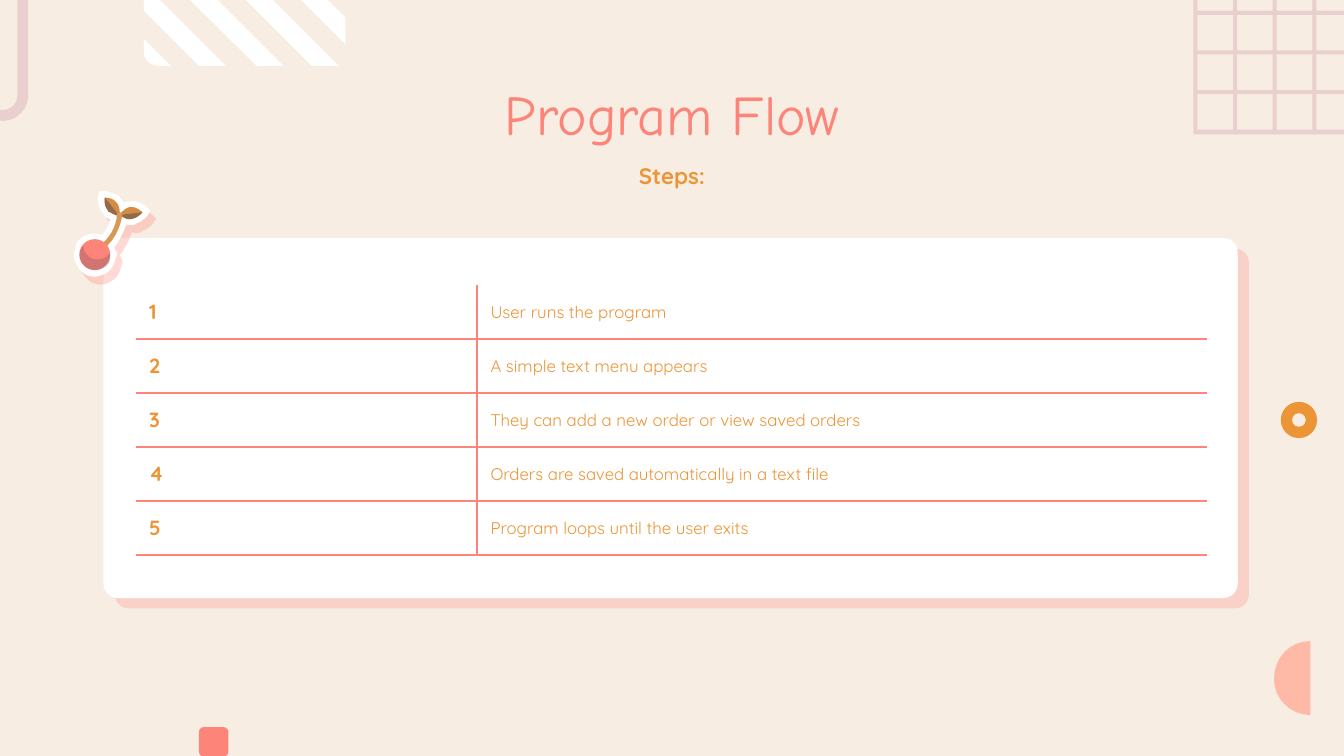
from lxml import etree
from pptx import Presentation
from pptx.dml.color import RGBColor
from pptx.enum import shapes, text
from pptx.oxml.ns import qn
from pptx.util import Inches, Pt

CREAM = RGBColor(0xF8, 0xED, 0xE2)
WHITE = RGBColor(0xFF, 0xFF, 0xFF)
CORAL = RGBColor(0xFD, 0x84, 0x79)
PEACH = RGBColor(0xFF, 0xB9, 0xA7)
ORANGE = RGBColor(0xEB, 0x95, 0x37)
ROSE = RGBColor(0xE9, 0xD0, 0xCF)
LEAF = RGBColor(0xD4, 0x8B, 0x43)
STEM = RGBColor(0xDA, 0x98, 0x56)
SHADE = RGBColor(0x35, 0x3F, 0x5B)

STEPS = [
    "User runs the program",
    "A simple text menu appears",
    "They can add a new order or view saved orders",
    "Orders are saved automatically in a text file",
    "Program loops until the user exits",
]

# Outlines: a 2-tuple is a corner, a 6-tuple is a cubic curve (two controls, end).
STRIPES = [
    [(1.27, 0.49), (1.07, 0.29), (1.07, 0.39), (1.07, 0.44, 1.12, 0.49, 1.18, 0.49)],
    [(1.68, 0.49), (1.07, -0.12), (1.07, 0.08), (1.48, 0.49)],
    [(2.11, 0.49), (1.07, -0.55), (1.07, -0.34), (1.91, 0.49)],
    [(2.52, 0.49), (1.35, -0.68), (1.15, -0.68), (2.32, 0.49)],
    [(2.57, 0.13), (1.76, -0.68), (1.56, -0.68), (2.57, 0.33)],
]
HALF_DISC = [(9.48, 5.05), (9.48, 5.2, 9.6, 5.32, 9.75, 5.32), (9.75, 4.77),
             (9.6, 4.77, 9.48, 4.89, 9.48, 5.05)]
STICKER = [
    (1.08, 1.53), (1.06, 1.52, 1.02, 1.49, 0.96, 1.5), (0.95, 1.5, 0.93, 1.5, 0.92, 1.51),
    (0.92, 1.5, 0.91, 1.49, 0.9, 1.48), (0.89, 1.47, 0.89, 1.46, 0.88, 1.46),
    (0.84, 1.43, 0.78, 1.42, 0.78, 1.42), (0.74, 1.42), (0.73, 1.46),
    (0.73, 1.47, 0.72, 1.54, 0.77, 1.59), (0.77, 1.6, 0.78, 1.61, 0.79, 1.62),
    (0.8, 1.62, 0.81, 1.63, 0.82, 1.63), (0.81, 1.68, 0.79, 1.71, 0.76, 1.75),
    (0.69, 1.72, 0.61, 1.75, 0.57, 1.81), (0.57, 1.83, 0.56, 1.84, 0.56, 1.86),
    (0.55, 1.87, 0.55, 1.88, 0.55, 1.9), (0.55, 1.94, 0.57, 1.97, 0.59, 2),
    (0.6, 2.01, 0.61, 2.02, 0.62, 2.03), (0.64, 2.05, 0.68, 2.06, 0.71, 2.06),
    (0.79, 2.05, 0.85, 2, 0.86, 1.92), (0.87, 1.91, 0.87, 1.89, 0.87, 1.88),
    (0.86, 1.87, 0.85, 1.84, 0.85, 1.84), (0.89, 1.79, 0.92, 1.73, 0.94, 1.67),
    (0.97, 1.68, 1, 1.68, 1.02, 1.66), (1.05, 1.65, 1.06, 1.64, 1.07, 1.63),
    (1.08, 1.63, 1.09, 1.61, 1.1, 1.6), (1.12, 1.57), (1.09, 1.54),
]
RIGHT_LEAF_LOW = [(0.89, 1.6), (0.91, 1.61, 0.94, 1.64, 0.98, 1.63),
                  (1.03, 1.62, 1.06, 1.58, 1.06, 1.58)]
RIGHT_LEAF = RIGHT_LEAF_LOW + [(1.04, 1.56, 1.01, 1.54, 0.97, 1.54),
                               (0.92, 1.55, 0.89, 1.6, 0.89, 1.6)]
LEFT_LEAF_LOW = [(0.78, 1.47), (0.78, 1.47, 0.77, 1.53, 0.8, 1.56),
                 (0.8, 1.57, 0.81, 1.58, 0.82, 1.58), (0.85, 1.6, 0.89, 1.61, 0.89, 1.61)]
LEFT_LEAF = LEFT_LEAF_LOW + [(0.89, 1.61, 0.9, 1.55, 0.87, 1.51),
                             (0.86, 1.5, 0.86, 1.5, 0.85, 1.49),
                             (0.82, 1.47, 0.78, 1.47, 0.78, 1.47)]
STALK = [(0.89, 1.58), (0.88, 1.58, 0.87, 1.59, 0.87, 1.6), (0.87, 1.66, 0.83, 1.8, 0.66, 1.88),
         (0.65, 1.89, 0.65, 1.9, 0.66, 1.91), (0.67, 1.92, 0.67, 1.92, 0.68, 1.91),
         (0.86, 1.83, 0.9, 1.67, 0.91, 1.6), (0.91, 1.59, 0.91, 1.58, 0.89, 1.58)]
FRUIT_SHADE = [(0.82, 1.88), (0.79, 1.93, 0.71, 1.95, 0.66, 1.91),
               (0.64, 1.89, 0.62, 1.86, 0.62, 1.83), (0.61, 1.84, 0.61, 1.84, 0.61, 1.84),
               (0.58, 1.89, 0.59, 1.95, 0.64, 1.99), (0.7, 2.03, 0.77, 2.01, 0.81, 1.96),
               (0.82, 1.94, 0.82, 1.91, 0.82, 1.88)]


def flatten(outline, pieces=8):
    """Turn corners and cubic curves into points in EMU."""
    points = []
    for part in outline:
        if len(part) == 2:
            points.append(part)
            continue
        ends = [points[-1], part[:2], part[2:4], part[4:]]
        for t in (n / pieces for n in range(1, pieces + 1)):
            weights = ((1 - t) ** 3, 3 * t * (1 - t) ** 2, 3 * t * t * (1 - t), t ** 3)
            points.append(tuple(sum(w * end[axis] for w, end in zip(weights, ends))
                                for axis in (0, 1)))
    return [(Inches(x), Inches(y)) for x, y in points]


def paint(shape, color, opacity=100):
    shape.shadow.inherit = False
    shape.line.fill.background()
    shape.fill.solid()
    shape.fill.fore_color.rgb = color
    if opacity < 100:
        set_alpha(shape.fill._xPr.find(".//" + qn("a:srgbClr")), opacity)


def set_alpha(color_element, opacity):
    etree.SubElement(color_element, qn("a:alpha"), val=str(opacity * 1000))


def add_outline(parent, contours, color, opacity=100):
    first, *others = [flatten(contour) for contour in contours]
    builder = parent.build_freeform(*first[0], scale=1.0)
    builder.add_line_segments(first[1:], close=True)
    for points in others:
        builder.move_to(*points[0])
        builder.add_line_segments(points[1:], close=True)
    shape = builder.convert_to_shape()
    paint(shape, color, opacity)
    return shape


def add_preset(parent, kind, box, color, adjustment=None):
    shape = parent.add_shape(kind, *map(Inches, box))
    paint(shape, color)
    if adjustment is not None:
        shape.adjustments[0] = adjustment
    return shape


def cast_shadow(shape, opacity, distance, angle):
    effects = shape._element.spPr.find(qn("a:effectLst"))
    outer = etree.SubElement(effects, qn("a:outerShdw"), blurRad="0", dist=str(Pt(distance)),
                             dir=str(angle * 60000), algn="bl", rotWithShape="0")
    set_alpha(etree.SubElement(outer, qn("a:srgbClr"), val=str(CORAL)), opacity)


def rectangle(left, top, right, bottom):
    return [(left, top), (right, top), (right, bottom), (left, bottom)]


def add_decorations(parent):
    for stripe in STRIPES:
        add_outline(parent, [stripe], WHITE)
    add_outline(parent, [HALF_DISC], PEACH)
    add_preset(parent, shapes.MSO_SHAPE.DONUT, (9.53, 2.99, 0.27, 0.27), ORANGE, 0.31)
    pill = add_preset(parent, shapes.MSO_SHAPE.ROUNDED_RECTANGLE, (-0.13, -0.15, 0.3, 1.01),
                      ROSE, 0.5)
    pill.fill.background()
    pill.line.color.rgb = ROSE
    pill.line.width = Inches(0.08)
    add_preset(parent, shapes.MSO_SHAPE.ROUNDED_RECTANGLE, (1.48, 5.41, 0.22, 0.22), CORAL, 0.17)

    gap, hole = 0.03, 0.265
    corners = [(8.91 + (hole + gap) * column, -0.48 + (hole + gap) * row)
               for column in range(7) for row in range(5)]
    holes = [rectangle(x, y, x + hole, y + hole)[::-1] for x, y in corners]
    add_outline(parent, [rectangle(8.88, -0.51, 10.98, 1)] + holes, ROSE)


def add_cherry(parent):
    cherry = parent.add_group_shape().shapes
    cast_shadow(add_outline(cherry, [STICKER], WHITE), 29, 5.2, 54)
    for leaf, underside in ((RIGHT_LEAF, RIGHT_LEAF_LOW), (LEFT_LEAF, LEFT_LEAF_LOW)):
        add_outline(cherry, [leaf], LEAF)
        add_outline(cherry, [underside], SHADE, 41)
    add_outline(cherry, [STALK], STEM)
    add_preset(cherry, shapes.MSO_SHAPE.OVAL, (0.59, 1.78, 0.23, 0.23), CORAL)
    add_outline(cherry, [FRUIT_SHADE], SHADE, 22)


def write(paragraph, words, size, color, font="Quicksand", bold=False):
    run = paragraph.add_run()
    run.text = words
    run.font.name, run.font.size, run.font.bold = font, Pt(size), bold
    run.font.color.rgb = color


def fill_heading(shape, box, bottom_inset, *style, **options):
    shape.left, shape.top, shape.width, shape.height = map(Inches, box)
    frame = shape.text_frame
    frame.word_wrap = True
    frame.auto_size = text.MSO_AUTO_SIZE.NONE
    frame.vertical_anchor = text.MSO_ANCHOR.TOP
    frame.margin_left = frame.margin_right = Inches(0.1)
    frame.margin_top, frame.margin_bottom = 0, Inches(bottom_inset)
    frame.paragraphs[0].alignment = text.PP_ALIGN.CENTER
    write(frame.paragraphs[0], *style, **options)


def set_borders(cell, visible):
    properties = cell._tc.get_or_add_tcPr()
    for place, side in enumerate("LRTB"):
        line = etree.Element(qn("a:ln" + side), w=str(Pt(1.5)))
        if side in visible:
            fill = etree.SubElement(line, qn("a:solidFill"))
            etree.SubElement(fill, qn("a:srgbClr"), val=str(CORAL))
        else:
            etree.SubElement(line, qn("a:noFill"))
        properties.insert(place, line)


def add_steps_table(parent):
    table = parent.add_table(len(STEPS), 2, Inches(1.01), Inches(2.12),
                             Inches(7.97), Inches(2.01)).table
    table.first_row = table.horz_banding = False
    for column, width in zip(table.columns, (2.54, 5.43)):
        column.width = Inches(width)
    for number, step in enumerate(STEPS, 1):
        for column, (words, size) in enumerate(((str(number), 11), (step, 9))):
            cell = table.cell(number - 1, column)
            cell.fill.background()
            cell.vertical_anchor = text.MSO_ANCHOR.MIDDLE
            cell.margin_left = cell.margin_right = Inches(0.1)
            cell.margin_top = cell.margin_bottom = 0
            write(cell.text_frame.paragraphs[0], words, size, ORANGE, bold=column == 0)
            set_borders(cell, "RL"[column] + "B" + ("T" if number > 1 else ""))


def main():
    deck = Presentation()
    deck.slide_width, deck.slide_height = Inches(10), Inches(10 * 9 / 16)
    slide = deck.slides.add_slide(deck.slide_layouts[5])
    slide.background.fill.solid()
    slide.background.fill.fore_color.rgb = CREAM
    add_decorations(slide.shapes)
    card = add_preset(slide.shapes, shapes.MSO_SHAPE.ROUNDED_RECTANGLE,
                      (0.77, 1.77, 8.44, 2.68), WHITE, 0.04)
    cast_shadow(card, 25, 8.2, 43)
    fill_heading(slide.shapes.title, (2.14, 0.59, 5.72, 0.41), 0,
                 "Program Flow", 30, CORAL, font="Comic Neue")
    add_steps_table(slide.shapes)
    subtitle = slide.shapes.add_textbox(0, 0, 0, 0)
    fill_heading(subtitle, (2.14, 1.21, 5.72, 0.41), 0.1, "Steps:", 12, ORANGE, bold=True)
    add_cherry(slide.shapes)
    deck.save("out.pptx")


if __name__ == "__main__":
    main()
